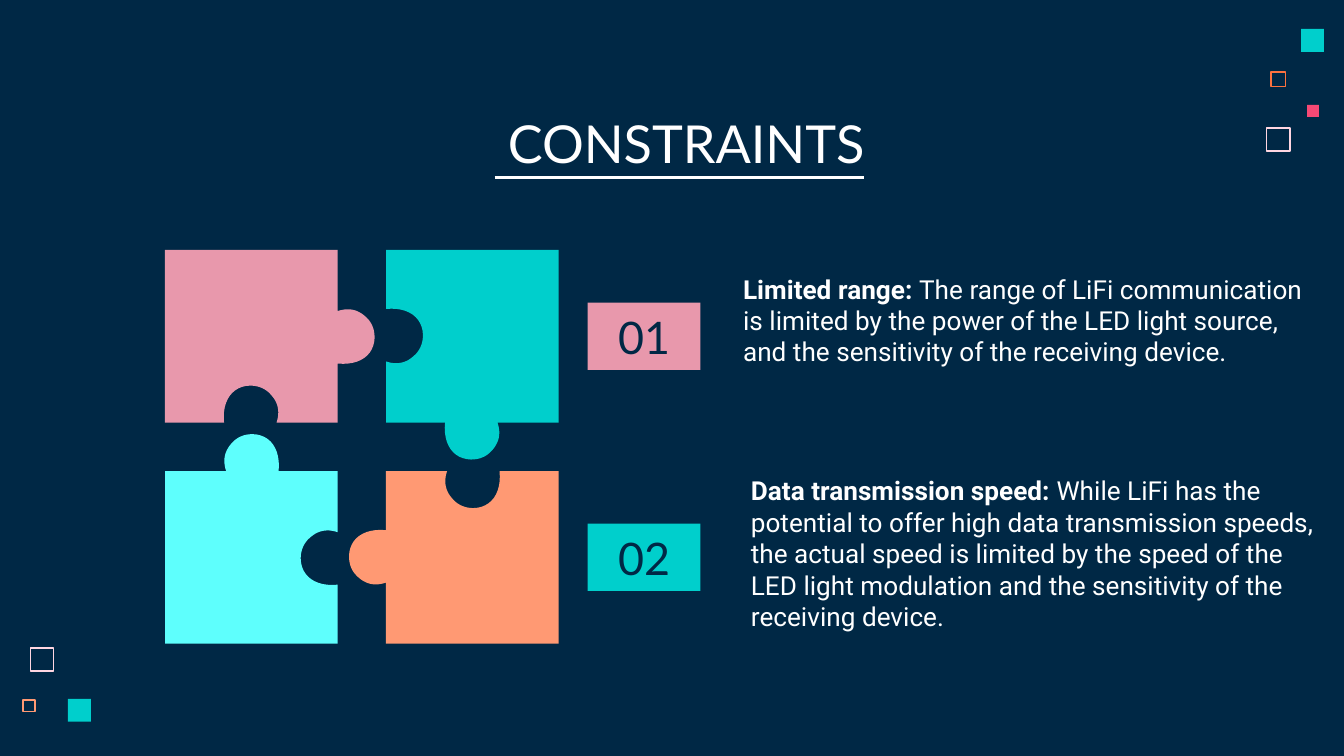
from dataclasses import dataclass

from pptx import Presentation
from pptx.dml.color import RGBColor
from pptx.enum.shapes import MSO_SHAPE as Shape
from pptx.enum.text import MSO_ANCHOR as Anchor, PP_ALIGN as Align
from pptx.util import Pt

NAVY, WHITE, TEAL, ROSE = "002845", "FFFFFF", "00CFCC", "E898AC"
CORAL, AQUA, BLUSH = "FF9973", "5EFFFD", "FFD6E1"

SIDE = 92.5
COLUMNS = (88.4, 206.8)
ROWS = (133.9, 252.4)

# Knob outline as (distance along the edge, distance outwards), clockwise.
KNOB_START = (-13.5, 0)
KNOB_CURVES = (
    ((-15.5, 6), (-14.4, 11), (-10, 15.5)),
    ((-7.2, 18.4), (-3.6, 19.8), (0.7, 19.8)),
    ((10, 19.6), (15.8, 11.9), (14.6, 0)),
)
CURVE_STEPS = 12


@dataclass
class Square:
    left: float
    top: float
    size: float
    color: str
    line: float = 0  # zero means filled


@dataclass
class Piece:
    """Edges run top, right, bottom, left: 1 is a knob, -1 a notch, 0 straight."""
    column: int
    row: int
    color: str
    edges: tuple[int, int, int, int]


@dataclass
class Label:
    text: str
    top: float
    color: str


@dataclass
class Note:
    heading: str
    body: str
    left: float
    top: float
    width: float
    height: float
    anchor: Anchor


SQUARES = [
    Square(678.2, 68.2, 13.2, BLUSH, 0.8),
    Square(680.4, 38.2, 8.6, "FC723F", 0.8),
    Square(697, 15.5, 12.3, TEAL),
    Square(12, 374.4, 7.3, CORAL, 1),
    Square(700.2, 56.2, 6.4, "F64975"),
    Square(15.8, 346.8, 13.2, BLUSH, 0.8),
    Square(36.4, 374.4, 12.3, TEAL),
]
PIECES = [
    Piece(0, 0, ROSE, (0, 1, -1, 0)),
    Piece(1, 0, TEAL, (0, 0, 1, -1)),
    Piece(0, 1, AQUA, (1, -1, 0, 0)),
    Piece(1, 1, CORAL, (-1, 0, 0, 1)),
]
LABELS = [Label("01", 162.2, ROSE), Label("02", 280.6, TEAL)]
NOTES = [
    Note("Limited range: ",
         "The range of LiFi communication is limited by the power of the LED "
         "light source, and the sensitivity of the receiving device.",
         391, 139, 318, 82, Anchor.TOP),
    Note("Data transmission speed: ",
         "While LiFi has the potential to offer high data transmission speeds, "
         "the actual speed is limited by the speed of the LED light modulation "
         "and the sensitivity of the receiving device.",
         395.2, 252.7, 324.8, 92.9, Anchor.BOTTOM),
]


def rgb(color: str) -> RGBColor:
    return RGBColor.from_string(color)


def fill_plain(shape, color: str) -> None:
    shape.shadow.inherit = False
    shape.fill.solid()
    shape.fill.fore_color.rgb = rgb(color)
    shape.line.fill.background()


def style_font(font, name: str, size: float, color: str) -> None:
    font.name, font.size = name, Pt(size)
    font.color.rgb = rgb(color)


def prepare_frame(shape, anchor: Anchor):
    """Give the text frame wrapping, equal margins and an anchor."""
    frame = shape.text_frame
    frame.word_wrap = True
    frame.vertical_anchor = anchor
    frame.margin_left = frame.margin_right = Pt(7.2)
    frame.margin_top = frame.margin_bottom = Pt(7.2)
    return frame


def draw_square(page, square: Square) -> None:
    inset = square.line / 2
    size = Pt(square.size - square.line)
    shape = page.shapes.add_shape(
        Shape.RECTANGLE, Pt(square.left + inset), Pt(square.top + inset), size, size)
    fill_plain(shape, square.color)
    if square.line:
        shape.fill.background()
        shape.line.color.rgb = rgb(square.color)
        shape.line.width = Pt(square.line)


def knob_points() -> list[tuple[float, float]]:
    """Sample the Bezier curves of the knob."""
    points = [KNOB_START]
    for first, second, end in KNOB_CURVES:
        start = points[-1]
        for step in range(1, CURVE_STEPS + 1):
            t = step / CURVE_STEPS
            u = 1 - t
            points.append(tuple(
                u**3 * a + 3 * u * u * t * b + 3 * u * t * t * c + t**3 * d
                for a, b, c, d in zip(start, first, second, end)))
    return points


def draw_piece(page, piece: Piece) -> None:
    half = SIDE / 2
    center_x, center_y = COLUMNS[piece.column] + half, ROWS[piece.row] + half
    outline = []
    along_x, along_y = 1, 0
    for direction in piece.edges:
        edge = [(-half, 0)]
        if direction:
            edge += [(along, out * direction) for along, out in knob_points()]
        for along, out in edge:
            reach = half + out
            outline.append((Pt(center_x + along * along_x + reach * along_y),
                            Pt(center_y + along * along_y - reach * along_x)))
        along_x, along_y = -along_y, along_x
    builder = page.shapes.build_freeform(*outline[0])
    builder.add_line_segments(outline[1:], close=True)
    fill_plain(builder.convert_to_shape(), piece.color)


def draw_label(page, label: Label) -> None:
    shape = page.shapes.add_shape(
        Shape.RECTANGLE, Pt(314.8), Pt(label.top), Pt(60.4), Pt(36))
    fill_plain(shape, label.color)
    para = prepare_frame(shape, Anchor.MIDDLE).paragraphs[0]
    para.text = label.text
    para.alignment = Align.CENTER
    style_font(para.font, "Lato", 24, NAVY)


def draw_note(page, note: Note) -> None:
    box = page.shapes.add_textbox(
        Pt(note.left), Pt(note.top), Pt(note.width), Pt(note.height))
    para = prepare_frame(box, note.anchor).paragraphs[0]
    style_font(para.font, "Roboto", 14, WHITE)
    for text, bold in ((note.heading, True), (note.body, False)):
        span = para.add_run()
        span.text = text
        span.font.bold = bold


def draw_title(page) -> None:
    box = page.shapes.add_textbox(Pt(60.5), Pt(52.6), Pt(607), Pt(45.4))
    para = prepare_frame(box, Anchor.TOP).paragraphs[0]
    para.text = " CONSTRAINTS"
    para.alignment = Align.CENTER
    style_font(para.font, "Lato", 28, WHITE)
    para.font.underline = True


def main() -> None:
    deck = Presentation()
    deck.slide_width, deck.slide_height = Pt(720), Pt(405)
    page = deck.slides.add_slide(deck.slide_layouts[6])
    page.background.fill.solid()
    page.background.fill.fore_color.rgb = rgb(NAVY)
    draw_title(page)
    for draw, items in ((draw_square, SQUARES), (draw_piece, PIECES),
                        (draw_label, LABELS), (draw_note, NOTES)):
        for item in items:
            draw(page, item)
    deck.save("out.pptx")


if __name__ == "__main__":
    main()
